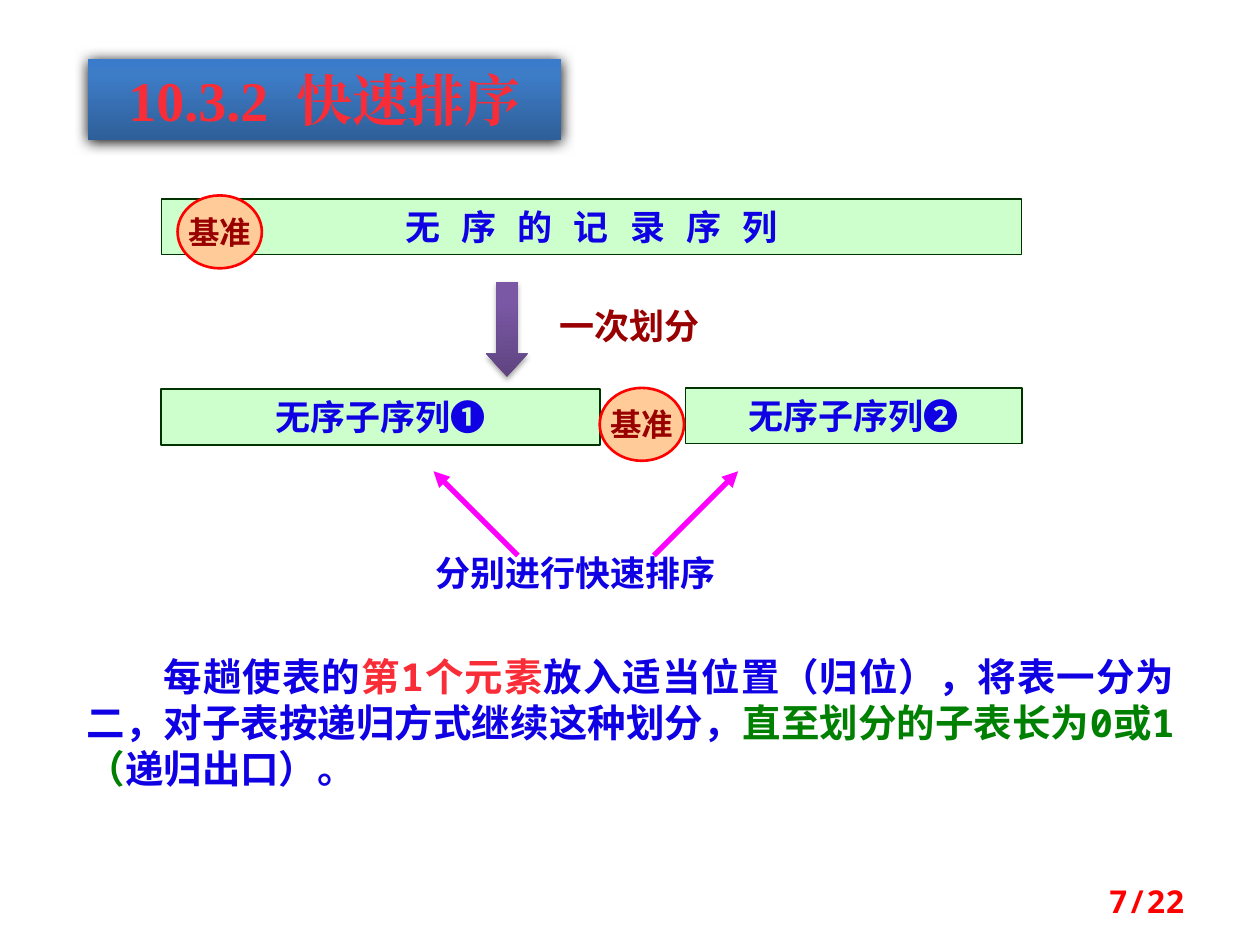
from dataclasses import dataclass
from typing import Optional

from lxml import etree
from pptx import Presentation
from pptx.dml.color import RGBColor
from pptx.enum.shapes import MSO_CONNECTOR, MSO_SHAPE
from pptx.enum.text import MSO_ANCHOR, MSO_AUTO_SIZE, PP_ALIGN
from pptx.oxml.ns import qn
from pptx.util import Cm, Pt

RECT, OVAL, DOWN = MSO_SHAPE.RECTANGLE, MSO_SHAPE.OVAL, MSO_SHAPE.DOWN_ARROW
LEFT, MID, RIGHT, FULL = PP_ALIGN.LEFT, PP_ALIGN.CENTER, PP_ALIGN.RIGHT, PP_ALIGN.JUSTIFY
TOP, CORE = MSO_ANCHOR.TOP, MSO_ANCHOR.MIDDLE
GROW, FIXED = MSO_AUTO_SIZE.SHAPE_TO_FIT_TEXT, MSO_AUTO_SIZE.NONE

BLUE = RGBColor(0x10, 0x00, 0xE4)
CORAL = RGBColor(0xF9, 0x2D, 0x37)
RED = RGBColor(0xFF, 0x00, 0x00)
MAROON = RGBColor(0x99, 0x00, 0x00)
GREEN = RGBColor(0x00, 0x80, 0x00)
MINT = RGBColor(0xCC, 0xFF, 0xCC)
PINE = RGBColor(0x00, 0x33, 0x00)
PEACH = RGBColor(0xFF, 0xCC, 0x99)
PINK = RGBColor(0xFF, 0x00, 0xFF)
BLACK = RGBColor(0x00, 0x00, 0x00)
STEEL = ((0, RGBColor(0x2F, 0x5F, 0x99)), (80, RGBColor(0x3D, 0x7C, 0xC7)),
         (100, RGBColor(0x3A, 0x7C, 0xCB)))
PLUM = ((0, RGBColor(0x5F, 0x44, 0x80)), (80, RGBColor(0x7B, 0x58, 0xA6)),
        (100, RGBColor(0x7C, 0x57, 0xA8)))
MONO, SERIF = "Noto Sans Mono", "Times New Roman"


@dataclass
class Box:
    x: float
    y: float
    w: float
    h: float


@dataclass
class Run:
    text: str
    color: RGBColor = BLUE
    gap: float = 0


@dataclass
class Style:
    size: float = 20
    face: str = MONO
    align: PP_ALIGN = LEFT
    anchor: MSO_ANCHOR = TOP
    wrap: bool = False
    fit: MSO_AUTO_SIZE = GROW
    indent: float = 0


@dataclass
class Look:
    kind: MSO_SHAPE
    fill: RGBColor
    line: RGBColor
    width: float


@dataclass
class Node:
    box: Box
    look: Look
    run: Run
    style: Style


def place(box: Box) -> list:
    return [Cm(v) for v in (box.x, box.y, box.w, box.h)]


def write(shape, runs: list[Run], style: Style) -> None:
    frame = shape.text_frame
    frame.word_wrap = style.wrap
    frame.auto_size = style.fit
    frame.vertical_anchor = style.anchor
    para = frame.paragraphs[0]
    para.alignment = style.align
    if style.indent:
        para._p.get_or_add_pPr().set("indent", str(Pt(style.indent)))
    for item in runs:
        run = para.add_run()
        run.text = item.text
        form = {"size": Pt(style.size), "bold": True, "name": style.face}
        for key, value in form.items():
            setattr(run.font, key, value)
        run.font.color.rgb = item.color
        props = run._r.get_or_add_rPr()
        etree.SubElement(props, qn("a:ea")).set("typeface", style.face)
        if item.gap:
            props.set("spc", str(int(item.gap * 100)))


def label(slide, box: Box, runs: list[Run], style: Style) -> None:
    write(slide.shapes.add_textbox(*place(box)), runs, style)


def draw(slide, node: Node) -> None:
    look = node.look
    shape = slide.shapes.add_shape(look.kind, *place(node.box))
    shape.shadow.inherit = False
    shape.fill.solid()
    shape.fill.fore_color.rgb = look.fill
    shape.line.color.rgb = look.line
    shape.line.width = Pt(look.width)
    write(shape, [node.run], node.style)


def tint(parent, color: RGBColor, alpha: Optional[int] = None) -> None:
    tone = etree.SubElement(parent, qn("a:srgbClr"), val=str(color))
    if alpha is not None:
        etree.SubElement(tone, qn("a:alpha"), val=str(alpha * 1000))


def glossy(slide, kind: MSO_SHAPE, box: Box, stops: tuple, alpha: int, blur: float, drop: float):
    """Add a borderless shape with a vertical gradient and a shadow below."""
    shape = slide.shapes.add_shape(kind, *place(box))
    shape.line.fill.background()
    shape.fill.gradient()
    shape.fill.gradient_angle = 90
    props = shape._element.spPr
    ramp = props.find(".//" + qn("a:gsLst"))
    for old in list(ramp):
        ramp.remove(old)
    for pos, color in stops:
        tint(etree.SubElement(ramp, qn("a:gs"), pos=str(pos * 1000)), color)
    shape.shadow.inherit = False
    shade = etree.SubElement(props.find(qn("a:effectLst")), qn("a:outerShdw"),
                             blurRad=str(Pt(blur)), dist=str(Pt(drop)),
                             dir="5400000", rotWithShape="0")
    tint(shade, BLACK, alpha)
    return shape


def arrow(slide, x1: float, y1: float, x2: float, y2: float) -> None:
    line = slide.shapes.add_connector(MSO_CONNECTOR.STRAIGHT, Cm(x1), Cm(y1), Cm(x2), Cm(y2))
    line.line.color.rgb = PINK
    line.line.width = Pt(3)
    etree.SubElement(line.line._get_or_add_ln(), qn("a:tailEnd"), type="triangle")
    etree.SubElement(line._element.spPr, qn("a:effectLst"))


BAR = Look(RECT, MINT, PINE, 1)
THIN = Look(RECT, MINT, PINE, 0.75)
BALL = Look(OVAL, PEACH, RED, 1.5)
WORDS = Style(align=MID, wrap=True)
PIVOT = Style(size=18, align=MID, anchor=CORE, fit=FIXED)
KEY = Run("基准", MAROON)
NODES = [
    Node(Box(3.25, 4.01, 17.35, 1.12), THIN, Run("无 序 的 记 录 序 列"), WORDS),
    Node(Box(3.25, 7.85, 8.84, 1.12), BAR, Run("无序子序列❶"), WORDS),
    Node(Box(13.82, 7.82, 6.78, 1.12), BAR, Run("无序子序列❷"), WORDS),
    Node(Box(12.09, 7.82, 1.7, 1.47), BALL, KEY, PIVOT),
    Node(Box(3.58, 3.94, 1.7, 1.47), BALL, KEY, PIVOT),
]


def main() -> None:
    deck = Presentation()
    deck.slide_width, deck.slide_height = Cm(25.4), Cm(19.05)
    slide = deck.slides.add_slide(deck.slide_layouts[6])

    # Title
    title = glossy(slide, RECT, Box(1.78, 1.19, 9.53, 1.63), STEEL, 100, 8.5, 1)
    write(title, [Run("10.3.2", CORAL), Run(" ", CORAL, 8), Run("快速排序", CORAL)],
          Style(size=32, face=SERIF, align=MID, wrap=True))

    # Sequences and pivots
    for node in NODES:
        draw(slide, node)

    # Partition step
    down = glossy(slide, DOWN, Box(9.8, 5.69, 0.84, 1.91), PLUM, 35, 3.1, 1.8)
    down.adjustments[1] = 0.56
    label(slide, Box(11.02, 6.02, 3.38, 1.12), [Run("一次划分", MAROON)], Style())

    # Recursive step
    for start, end in ((10.44, 8.74), (13.18, 14.88)):
        arrow(slide, start, 11.2, end, 9.5)
    label(slide, Box(8.53, 11, 6.25, 1.12), [Run("分别进行快速排序")], Style())

    # Summary
    label(slide, Box(1.5, 13.03, 22.43, 3.07), [
        Run("每趟使表的"), Run("第1个元素", CORAL),
        Run("放入适当位置（归位），将表一分为二，对子表按递归方式继续这种划分，"),
        Run("直至划分的子表长为0或1（", GREEN), Run("递归出口）。"),
    ], Style(size=22, align=FULL, wrap=True, indent=44))

    # Page number
    label(slide, Box(18.21, 17.65, 5.92, 1.02), [Run("7/22", RED)],
          Style(size=18, align=RIGHT, anchor=CORE, wrap=True, fit=FIXED))

    deck.save("out.pptx")


if __name__ == "__main__":
    main()
